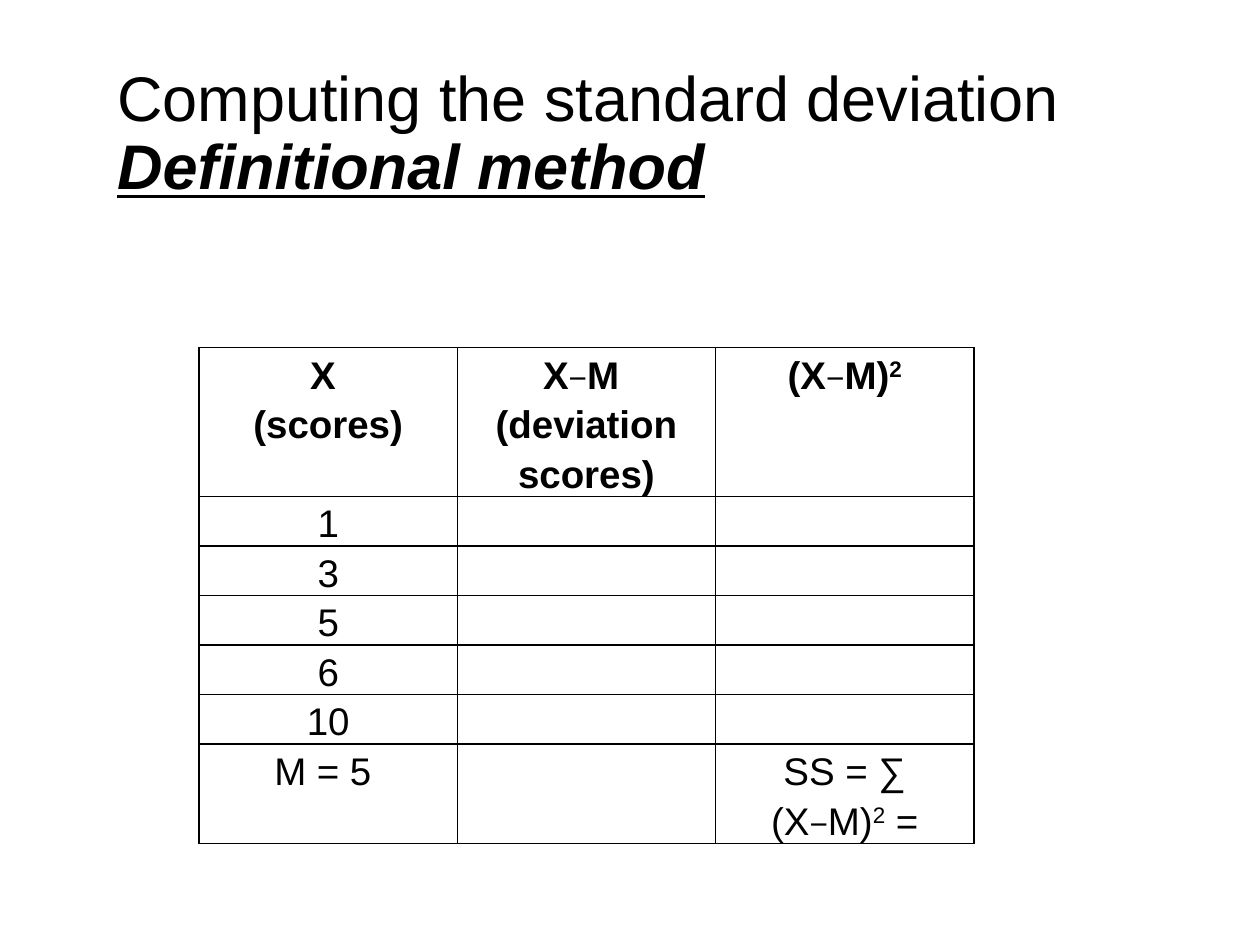
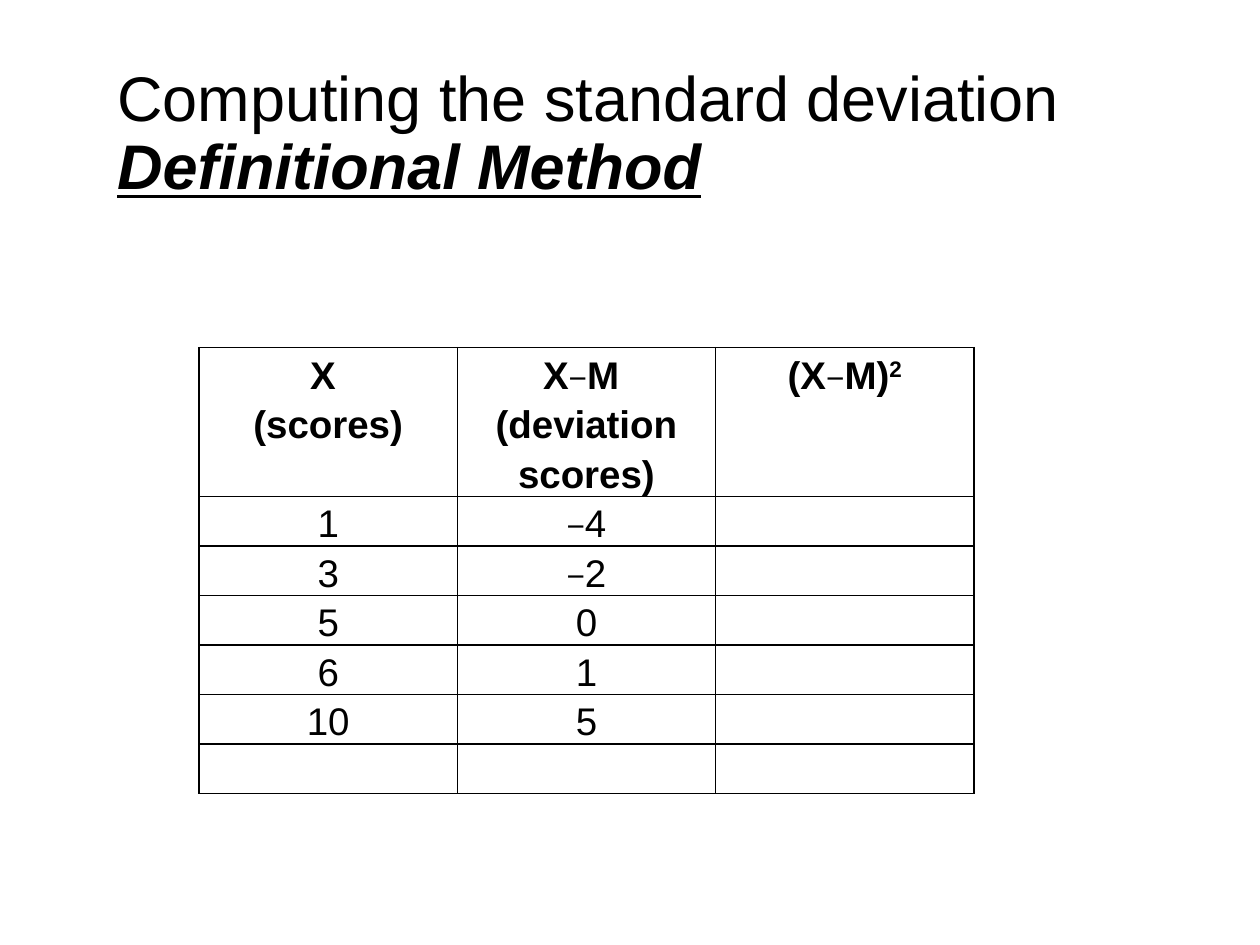
from dataclasses import dataclass
from itertools import groupby

from lxml import etree
from pptx import Presentation
from pptx import util as u
from pptx.dml.color import RGBColor
from pptx.enum import text as t
from pptx.oxml import ns

COLORS = {"ink": "000000", "paper": "FFFFFF"}
FONT = "Arial"
TITLE_SIZE, CELL_SIZE, MINUS_SIZE = 36, 22, 18
TITLE_ONLY = 5
COLUMN_WIDTH, HEADER_HEIGHT, ROW_HEIGHT = 2.05, 1.18, 0.39
HEADER = ["X \n(scores)", "X−M \n(deviation scores)", "(X−M)²"]
SCORES = ["1", "3", "5", "6", "10"]


@dataclass
class DeviationSlide:
    opening: str
    method: str
    deviations: list[str]
    summary: list[str]
    summary_lines: int


SLIDES = [
    DeviationSlide("Computing the standard deviation ", "Definitional method",
                   [""] * len(SCORES), ["M = 5\u00a0", "", "SS = ∑ (X−M)² ="], 2),
    DeviationSlide("Computing the standard deviation", "Definitional Method",
                   ["−4", "−2", "0", "1", "5"], ["", "", ""], 1),
]


def write(paragraph, text: str, *, size: float, bold: bool = False, italic: bool = False,
          underline: bool = False, superscript: bool = False) -> None:
    """Add one formatted run."""
    run = paragraph.add_run()
    run.text = text
    font = run.font
    font.name, font.size = FONT, u.Pt(size)
    font.bold, font.italic, font.underline = bold, italic, underline
    font.color.rgb = RGBColor.from_string(COLORS["ink"])
    if superscript:
        run._r.get_or_add_rPr().set("baseline", "30000")


def write_formula(paragraph, formula: str, bold: bool) -> None:
    """Minus signs are smaller and light; a square becomes a raised 2."""
    for mark, letters in groupby(formula, lambda c: c if c in "−²" else ""):
        if mark == "−":
            write(paragraph, mark, size=MINUS_SIZE)
        elif mark == "²":
            write(paragraph, "2", size=CELL_SIZE, bold=bold, superscript=True)
        else:
            write(paragraph, "".join(letters), size=CELL_SIZE, bold=bold)


def add_borders(cell) -> None:
    properties = cell._tc.get_or_add_tcPr()
    for side in ("lnL", "lnR", "lnT", "lnB"):
        line = etree.SubElement(properties, ns.qn(f"a:{side}"), w=str(u.Pt(1)))
        fill = etree.SubElement(line, ns.qn("a:solidFill"))
        etree.SubElement(fill, ns.qn("a:srgbClr"), val=COLORS["ink"])


def fill_cell(cell, content: str, bold: bool) -> None:
    add_borders(cell)
    cell.fill.solid()
    cell.fill.fore_color.rgb = RGBColor.from_string(COLORS["paper"])
    cell.margin_left = cell.margin_right = u.Inches(0.06)
    cell.margin_top = cell.margin_bottom = 0
    frame = cell.text_frame
    for index, formula in enumerate(content.split("\n")):
        paragraph = frame.add_paragraph() if index else frame.paragraphs[0]
        paragraph.alignment = t.PP_ALIGN.CENTER
        paragraph.line_spacing = 1.15
        write_formula(paragraph, formula, bold)


def add_title(slide, content: DeviationSlide) -> None:
    title = slide.shapes.title
    title.left, title.top = u.Inches(0.83), u.Inches(0.35)
    title.width, title.height = u.Inches(8.62), u.Inches(1.45)
    frame = title.text_frame
    frame.word_wrap = True
    frame.auto_size = t.MSO_AUTO_SIZE.NONE
    frame.vertical_anchor = t.MSO_ANCHOR.MIDDLE
    heading = frame.paragraphs[0]
    heading.alignment = t.PP_ALIGN.LEFT
    heading.line_spacing = 0.9
    write(heading, content.opening, size=TITLE_SIZE)
    heading.add_line_break()
    write(heading, content.method, size=TITLE_SIZE, bold=True, italic=True, underline=True)


def add_score_table(slide, content: DeviationSlide) -> None:
    rows = [HEADER, *([score, deviation, ""] for score, deviation
                      in zip(SCORES, content.deviations)), content.summary]
    heights = [HEADER_HEIGHT, *[ROW_HEIGHT] * len(SCORES), ROW_HEIGHT * content.summary_lines]
    table = slide.shapes.add_table(
        len(rows), len(HEADER), u.Inches(1.58), u.Inches(2.76),
        u.Inches(COLUMN_WIDTH * len(HEADER)), u.Inches(sum(heights))).table
    table.first_row = table.horz_banding = False
    for column in table.columns:
        column.width = u.Inches(COLUMN_WIDTH)
    for r, (row, height) in enumerate(zip(rows, heights)):
        table.rows[r].height = u.Inches(height)
        for c, entry in enumerate(row):
            fill_cell(table.cell(r, c), entry, bold=r == 0)


# Build both steps of the computation
deck = Presentation()
deck.slide_width, deck.slide_height = u.Inches(10), u.Inches(7.5)
for step in SLIDES:
    page = deck.slides.add_slide(deck.slide_layouts[TITLE_ONLY])
    add_title(page, step)
    add_score_table(page, step)
deck.save("out.pptx")
